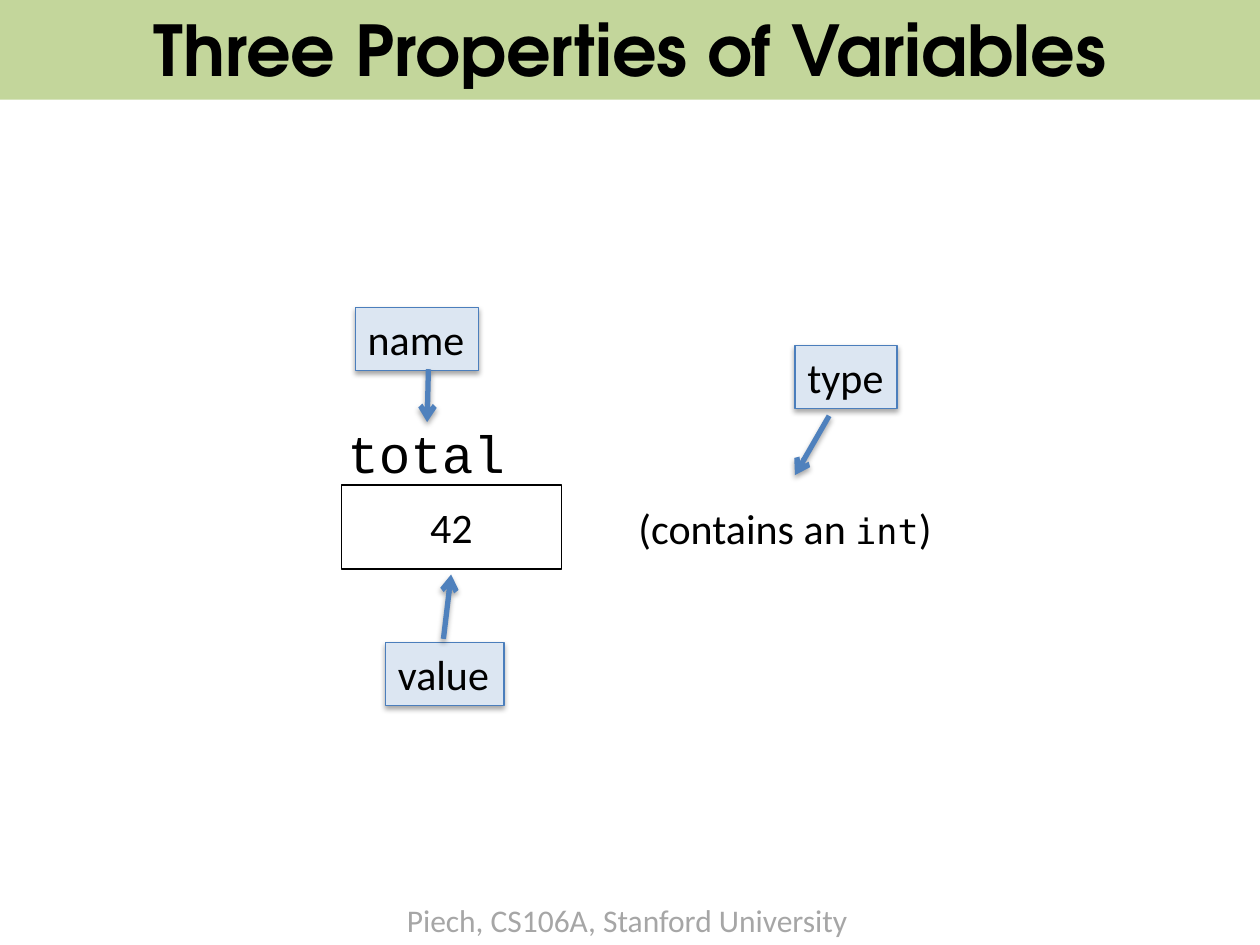
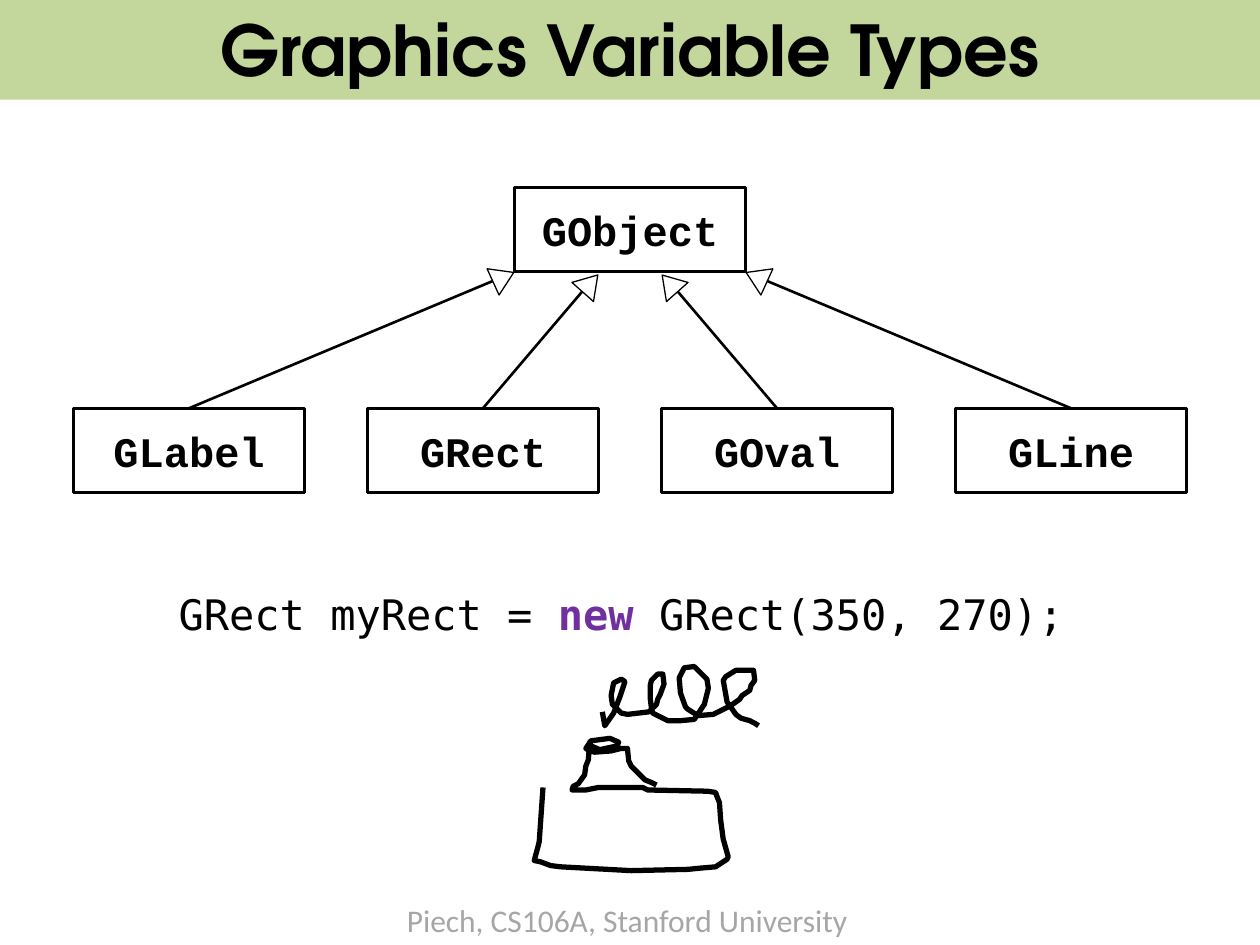
from collections import namedtuple
from dataclasses import dataclass

import pptx
import pptx.dml.color
import pptx.enum.shapes
import pptx.enum.text
import pptx.oxml
import pptx.oxml.ns
import pptx.util

Pt = pptx.util.Pt
SHAPES = pptx.enum.shapes.MSO_SHAPE
ALIGN = pptx.enum.text.PP_ALIGN
ANCHOR = pptx.enum.text.MSO_ANCHOR
FIT = pptx.enum.text.MSO_AUTO_SIZE
DRAWING_NS = pptx.oxml.ns.nsdecls("a")

Box = namedtuple("Box", "left top width height")


@dataclass(frozen=True)
class Theme:
    ink: str = "000000"
    paper: str = "FFFFFF"
    band: str = "C3D69B"
    footer: str = "A6A6A6"
    tag: str = "DCE6F2"
    tag_line: str = "4B7EBC"
    arrow: str = "4F81BD"
    keyword: str = "7030A0"
    title_font: str = "TeX Gyre Adventor"
    body_font: str = "Calibri"
    class_font: str = "Courier New"
    code_font: str = "DejaVu Sans Mono"
    title_size: float = 40
    variable_size: float = 30
    body_size: float = 24
    inline_code_size: float = 20
    footer_size: float = 18


THEME = Theme()
SLIDE = Box(0, 0, 720, 540)
TITLE_BAND = Box(0, -2, 720, 59)
FOOTER = Box(225.4, 511.2, 269.3, 28.8)
FOOTER_TEXT = "Piech, CS106A, Stanford University"

# Pen strokes, in steps of PEN_UNIT from the corner of each drawing
PEN_UNIT = 0.72
BOTTLE = [
    (7, 39), (4, 82), (3, 86), (0, 97), (5, 98), (13, 101), (21, 102), (77, 105),
    (122, 104), (132, 103), (144, 102), (153, 96), (154, 94), (150, 80), (148, 65),
    (147, 51), (145, 46), (144, 43), (138, 42), (90, 41), (86, 39), (51, 39),
    (41, 41), (30, 41), (31, 38), (35, 36), (40, 29), (41, 22), (43, 17), (44, 3),
    (45, 6), (52, 9), (66, 6), (67, 3), (60, 0), (45, 2), (41, 8), (44, 10),
    (48, 11), (61, 10), (69, 8), (74, 8), (75, 18), (77, 22), (86, 31), (88, 33),
    (93, 35), (97, 37),
]
SMOKE = [
    (0, 36), (2, 47), (9, 37), (14, 24), (18, 12), (15, 10), (9, 13), (7, 23),
    (8, 30), (15, 37), (20, 38), (37, 36), (43, 30), (44, 26), (46, 22), (49, 14),
    (48, 6), (44, 6), (39, 11), (38, 15), (38, 25), (39, 33), (40, 37), (44, 39),
    (52, 43), (62, 43), (73, 42), (77, 36), (79, 33), (81, 30), (84, 18), (84, 16),
    (83, 10), (76, 3), (73, 0), (65, 1), (61, 9), (62, 21), (66, 32), (68, 34),
    (76, 39), (88, 38), (96, 34), (102, 31), (109, 26), (111, 23), (117, 19),
    (118, 15), (121, 11), (120, 3), (106, 3), (98, 8), (96, 11), (99, 28),
    (106, 38), (110, 41), (117, 43), (121, 45), (124, 47),
]


# Shared helpers
def rgb(value):
    return pptx.dml.color.RGBColor.from_string(value)


def inside(area, left, top, width, height):
    """Box at an offset from the corner of an area."""
    return Box(area.left + left, area.top + top, width, height)


def lengths(box):
    return [Pt(value) for value in box]


def add_span(para, text, *, size=THEME.body_size, font=THEME.body_font,
             color=THEME.ink, bold=False, align=None):
    span = para.add_run()
    span.text = text
    span.font.size = Pt(size)
    span.font.name = font
    span.font.bold = bold
    span.font.color.rgb = rgb(color)
    if align is not None:
        para.alignment = align


def add_label(page, box):
    """Unwrapped text box; returns its paragraph."""
    frame = page.shapes.add_textbox(*lengths(box)).text_frame
    frame.word_wrap = False
    frame.auto_size = FIT.SHAPE_TO_FIT_TEXT
    return frame.paragraphs[0]


def set_line(shape, color, width):
    shape.line.color.rgb = rgb(color)
    shape.line.width = Pt(width)


def set_effects(shape, shadow=False):
    """Replace the theme's effects by a soft drop shadow or by none."""
    drop = ""
    if shadow:
        drop = (f'<a:outerShdw blurRad="{Pt(3.1)}" dist="{Pt(1.8)}" dir="5400000" '
                'rotWithShape="0"><a:srgbClr val="000000"><a:alpha val="35000"/>'
                '</a:srgbClr></a:outerShdw>')
    shape.element.spPr.append(pptx.oxml.parse_xml(
        f"<a:effectLst {DRAWING_NS}>{drop}</a:effectLst>"))


def add_block(page, box, *, kind=SHAPES.RECTANGLE, fill=THEME.paper,
              line=THEME.ink, width=0.75, shadow=False):
    block = page.shapes.add_shape(kind, *lengths(box))
    block.fill.solid()
    block.fill.fore_color.rgb = rgb(fill)
    set_line(block, line, width)
    set_effects(block, shadow)
    block.text_frame.word_wrap = False
    block.text_frame.vertical_anchor = ANCHOR.MIDDLE
    return block


def add_link(page, start, end, *, color=THEME.ink, width=1.5, arrow=False):
    link = page.shapes.add_connector(
        pptx.enum.shapes.MSO_CONNECTOR.STRAIGHT, *lengths(start + end))
    set_line(link, color, width)
    if arrow:
        link.line._get_or_add_ln().append(
            pptx.oxml.parse_xml(f'<a:tailEnd {DRAWING_NS} type="arrow"/>'))
    set_effects(link, shadow=arrow)


# Title band and footer
def add_page(deck, title):
    page = deck.slides.add_slide(deck.slide_layouts[5])
    band = page.shapes.title
    band.left, band.top, band.width, band.height = lengths(TITLE_BAND)
    band.fill.solid()
    band.fill.fore_color.rgb = rgb(THEME.band)
    frame = band.text_frame
    frame.auto_size = FIT.NONE
    frame.vertical_anchor = ANCHOR.MIDDLE
    add_span(frame.paragraphs[0], title, size=THEME.title_size,
             font=THEME.title_font, bold=True, align=ALIGN.CENTER)
    add_span(add_label(page, FOOTER), FOOTER_TEXT,
             size=THEME.footer_size, color=THEME.footer)
    return page


# Variable with its name, value and type pointed out
def add_variable_diagram(page, area):
    cell = add_block(page, inside(area, 3.5, 101.5, 126, 48))
    add_span(cell.text_frame.paragraphs[0], "42", align=ALIGN.CENTER)
    add_span(add_label(page, inside(area, 0, 61.3, 105, 43.9)), "total",
             size=THEME.variable_size, font=THEME.class_font)

    note = add_label(page, inside(area, 166.3, 108, 184.3, 36))
    add_span(note, "(contains an ")
    add_span(note, "int", size=THEME.inline_code_size, font=THEME.code_font)
    add_span(note, ")")

    # Tag text, place, width, arrow start and arrow end
    tags = [
        ("name", (11.5, 0), 70.6, (53.3, 35.3), (52.6, 65.5)),
        ("value", (28.8, 191.5), 67.7, (61.9, 189.4), (66.3, 152.6)),
        ("type", (262.8, 21.6), 58.3, (282.3, 61.9), (262.8, 95.8)),
    ]
    for text, place, width, start, end in tags:
        tag = add_block(page, inside(area, *place, width, 36), fill=THEME.tag,
                        line=THEME.tag_line, shadow=True)
        add_span(tag.text_frame.paragraphs[0], text, align=ALIGN.LEFT)
        add_link(page, *[(area.left + x, area.top + y) for x, y in (start, end)],
                 color=THEME.arrow, width=3, arrow=True)


# Class tree: one parent above a row of children
def add_class_box(page, box, name):
    block = add_block(page, box, width=1.5)
    add_span(block.text_frame.paragraphs[0], name, font=THEME.class_font,
             bold=True, align=ALIGN.CENTER)


def add_class_tree(page, area, parent, children):
    width, height = 132, 48
    row_top = area.height - height
    step = (area.width - width) / (len(children) - 1)
    middle = area.width / 2

    add_class_box(page, inside(area, middle - width / 2, 0, width, height), parent)
    for index, name in enumerate(children):
        add_class_box(page, inside(area, index * step, row_top, width, height), name)

    # Child index, line end, arrowhead centre and turn; mirrored to the right.
    # Horizontal distances run from the middle of the tree.
    head_width, head_height = 16.5, 13
    links = [(0, (69.8, 49.7), (72.3, 51.1), 65.5),
             (1, (20.9, 51.8), (22.7, 54.7), 41.6)]
    center = area.left + middle
    for side in (-1, 1):
        for index, end, head, turn in links:
            reach = middle - index * step - width / 2
            add_link(page, (center + side * reach, area.top + row_top),
                     (center + side * end[0], area.top + end[1]))
            arrowhead = add_block(
                page,
                Box(center + side * head[0] - head_width / 2,
                    area.top + head[1] - head_height / 2, head_width, head_height),
                kind=SHAPES.ISOSCELES_TRIANGLE)
            arrowhead.rotation = -side * turn


# Line of code
def add_code(page, box):
    code = add_label(page, box)
    add_span(code, "GRect myRect = ", font=THEME.code_font)
    add_span(code, "new ", font=THEME.code_font, color=THEME.keyword, bold=True)
    add_span(code, "GRect(350, 270);", font=THEME.code_font)


# Hand-drawn bottle with a curl of smoke
def add_bottle(page, area):
    for stroke, left, top in ((BOTTLE, 0, 41), (SMOKE, 38.9, 0)):
        pen = page.shapes.build_freeform(*stroke[0], scale=Pt(PEN_UNIT))
        pen.add_line_segments(stroke[1:], close=False)
        drawing = pen.convert_to_shape(Pt(area.left + left), Pt(area.top + top))
        drawing.fill.background()
        set_line(drawing, THEME.ink, 3)
        drawing.line._get_or_add_ln().append(
            pptx.oxml.parse_xml(f"<a:round {DRAWING_NS}/>"))
        set_effects(drawing)


def main():
    deck = pptx.Presentation()
    deck.slide_width, deck.slide_height = Pt(SLIDE.width), Pt(SLIDE.height)

    page = add_page(deck, "Three Properties of Variables")
    add_variable_diagram(page, Box(191.5, 175.7, 350.6, 227.5))

    page = add_page(deck, "Graphics Variable Types")
    add_class_tree(page, Box(42, 107.3, 636, 174), "GObject",
                   ["GLabel", "GRect", "GOval", "GLine"])
    add_code(page, Box(95, 332.6, 522.7, 36))
    add_bottle(page, Box(305.3, 380.9, 128.2, 116.6))

    deck.save("out.pptx")


if __name__ == "__main__":
    main()
